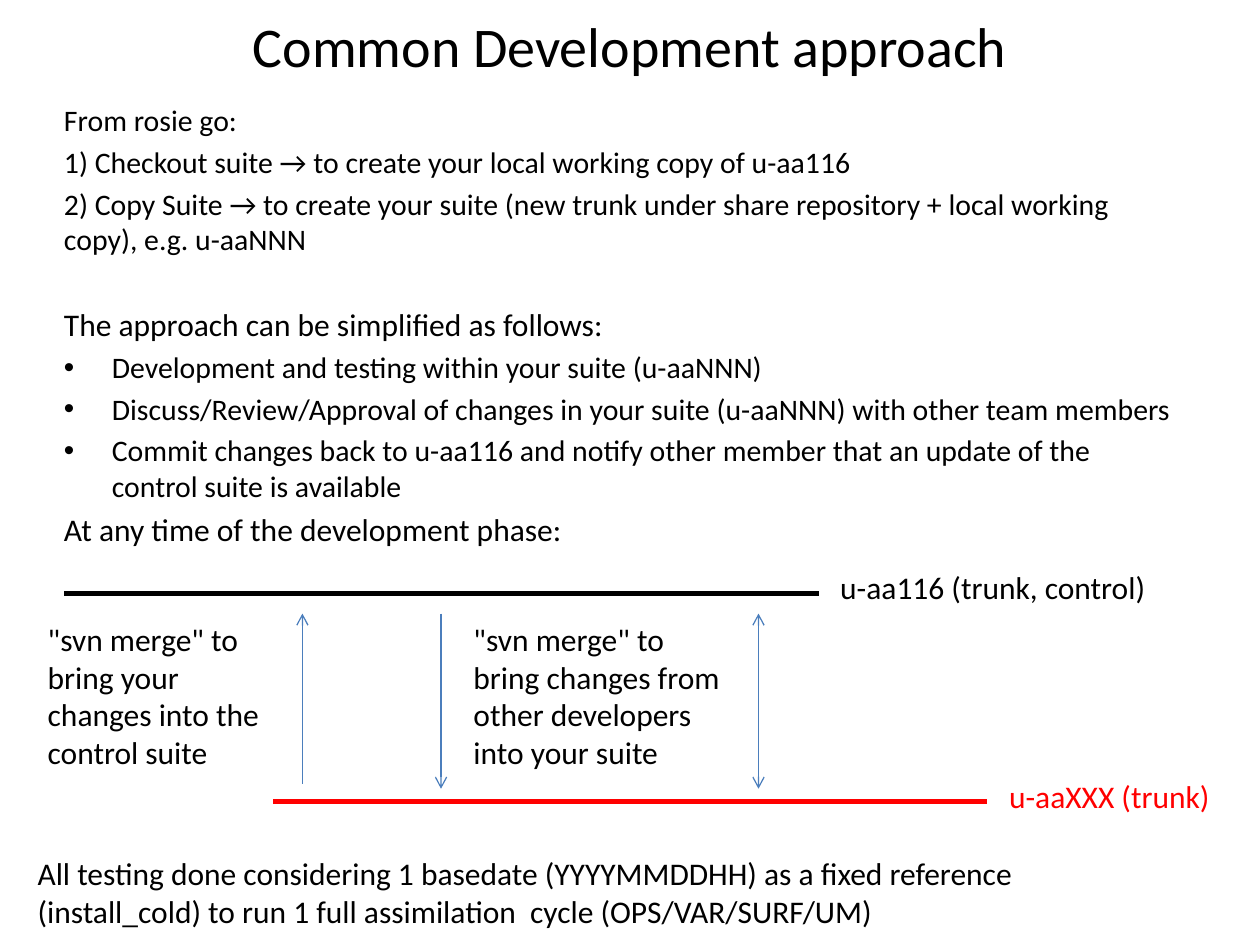
import pptx
import pptx.util
import pptx.dml.color
import pptx.enum.shapes
import pptx.enum.text
import pptx.oxml.ns
from lxml import etree

FONT = "Calibri"
BLACK, RED, BLUE = "000000", "FF0000", "4B7EBC"
WIDTH, HEIGHT = 10, 7.5
HANG = 0.38

TITLE = "Common Development approach"
# text, size, bulleted, extra space before in points
BODY = [
    ("From rosie go:", 17, False, 0),
    ("1) Checkout suite → to create your local working copy of u-aa116", 17, False, 0),
    ("2) Copy Suite → to create your suite (new trunk under share repository"
     " + local working copy), e.g. u-aaNNN", 17, False, 0),
    ("The approach can be simplified as follows:", 18, False, 24),
    ("Development and testing within your suite (u-aaNNN)", 17, True, 0),
    ("Discuss/Review/Approval of changes in your suite (u-aaNNN) with other"
     " team members", 17, True, 0),
    ("Commit changes back to u-aa116 and notify other member that an update"
     " of the control suite is available", 17, True, 0),
    ("At any time of the development phase:", 18, False, 0),
]

CONTROL_Y, SUITE_Y = 4.71, 6.36
ARROW_TOP, ARROW_BOTTOM = 4.87, 6.26
# left, right, y, colour
TRUNKS = [(0.51, 6.5, CONTROL_Y, BLACK), (2.17, 7.83, SUITE_Y, RED)]
# x, start y, end y, arrowhead ends
MERGES = [
    (2.4, 6.22, ARROW_TOP, ["tailEnd"]),
    (3.5, ARROW_TOP, ARROW_BOTTOM, ["tailEnd"]),
    (6.02, ARROW_TOP, ARROW_BOTTOM, ["headEnd", "tailEnd"]),
]
# text, left, top, width, height, colour, wraps
LABELS = [
    ("u-aa116 (trunk, control)", 6.57, CONTROL_Y - 0.25, 2.65, 0.4, BLACK, False),
    ("u-aaXXX (trunk)", 7.91, SUITE_Y - 0.24, 1.81, 0.4, RED, False),
    ('"svn merge" to bring your changes into the control suite',
     0.28, ARROW_TOP, 2.05, 1.31, BLACK, True),
    ('"svn merge" to bring changes from other developers into your suite',
     3.66, ARROW_TOP, 2.2, 1.31, BLACK, True),
    ("All testing done considering 1 basedate (YYYYMMDDHH) as a fixed reference"
     " (install_cold) to run 1 full assimilation  cycle (OPS/VAR/SURF/UM)",
     0.2, 6.73, 9.13, 0.71, BLACK, True),
]


def inches(*values):
    return [pptx.util.Inches(value) for value in values]


def rgb(colour):
    return pptx.dml.color.RGBColor.from_string(colour)


def add_run(paragraph, text, size, colour=BLACK):
    run = paragraph.add_run()
    run.text = text
    run.font.name = FONT
    run.font.size = pptx.util.Pt(size)
    run.font.color.rgb = rgb(colour)


def add_text_box(slide, left, top, width, height, wraps=True):
    frame = slide.shapes.add_textbox(*inches(left, top, width, height)).text_frame
    frame.word_wrap = wraps
    return frame


def add_bullet(paragraph):
    properties = paragraph._p.get_or_add_pPr()
    indent = pptx.util.Inches(HANG)
    properties.set("marL", str(indent))
    properties.set("indent", str(-indent))
    for tag, name, value in [("a:buFont", "typeface", "Arial"), ("a:buChar", "char", "•")]:
        etree.SubElement(properties, pptx.oxml.ns.qn(tag)).set(name, value)


def add_line(slide, start, end, colour, width, heads=()):
    line = slide.shapes.add_connector(
        pptx.enum.shapes.MSO_CONNECTOR.STRAIGHT, *inches(*start, *end))
    line.line.color.rgb = rgb(colour)
    line.line.width = pptx.util.Pt(width)
    outline = line.line._get_or_add_ln()
    for head in heads:
        etree.SubElement(outline, pptx.oxml.ns.qn("a:" + head)).set("type", "arrow")
    etree.SubElement(line._element.spPr, pptx.oxml.ns.qn("a:effectLst"))


def add_title(slide):
    title = slide.shapes.title
    title.left, title.top, title.width, title.height = inches(0.5, -0.27, 9, 1.25)
    title.text_frame.vertical_anchor = pptx.enum.text.MSO_ANCHOR.MIDDLE
    paragraph = title.text_frame.paragraphs[0]
    paragraph.alignment = pptx.enum.text.PP_ALIGN.CENTER
    add_run(paragraph, TITLE, 32)


def add_body(slide):
    frame = add_text_box(slide, 0.41, 0.76, 9, 4.95)
    for index, (text, size, bulleted, extra) in enumerate(BODY):
        paragraph = frame.add_paragraph() if index else frame.paragraphs[0]
        if index:
            paragraph.space_before = pptx.util.Pt(0.2 * size + extra)
        if bulleted:
            add_bullet(paragraph)
        add_run(paragraph, text, size)


def main():
    presentation = pptx.Presentation()
    presentation.slide_width, presentation.slide_height = inches(WIDTH, HEIGHT)
    slide = presentation.slides.add_slide(presentation.slide_layouts[5])
    add_title(slide)
    add_body(slide)
    for left, right, y, colour in TRUNKS:
        add_line(slide, (left, y), (right, y), colour, 2.5)
    for x, start, end, heads in MERGES:
        add_line(slide, (x, start), (x, end), BLUE, 0.75, heads)
    for text, left, top, width, height, colour, wraps in LABELS:
        frame = add_text_box(slide, left, top, width, height, wraps)
        add_run(frame.paragraphs[0], text, 18, colour)
    presentation.save("out.pptx")


if __name__ == "__main__":
    main()
